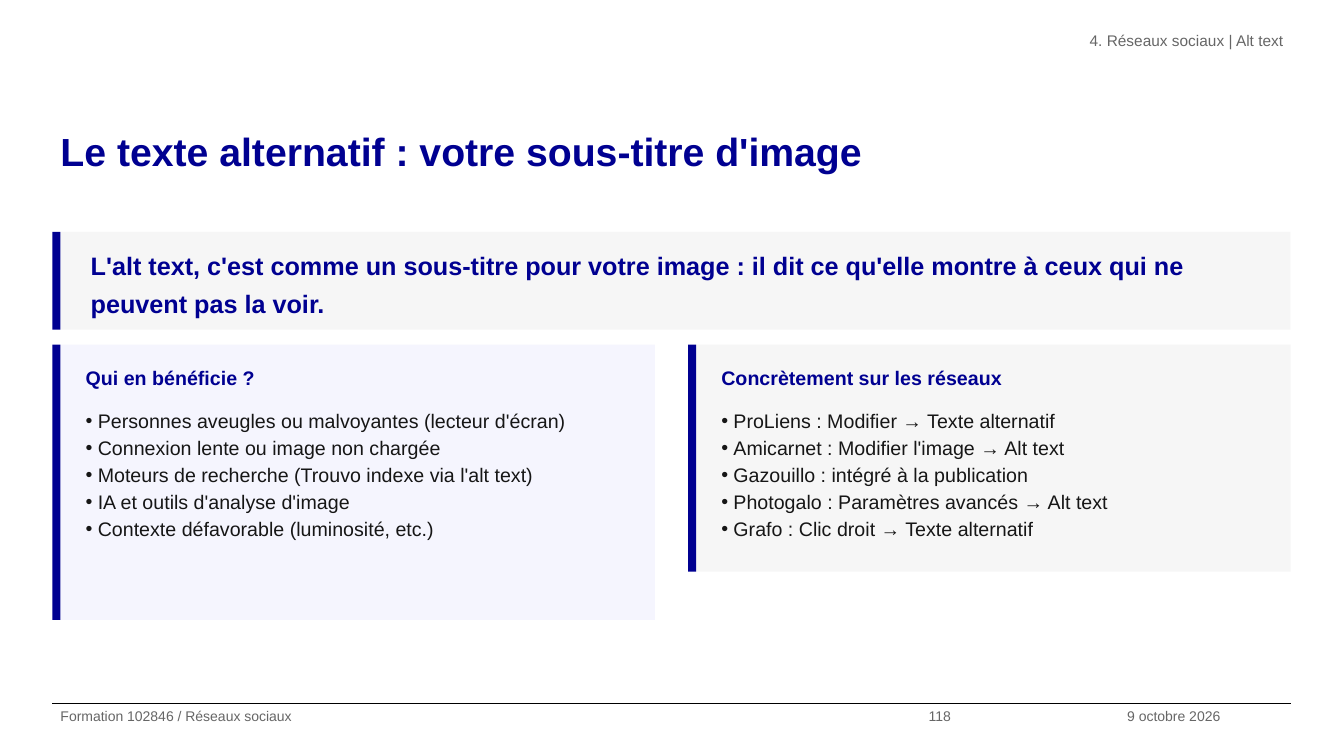
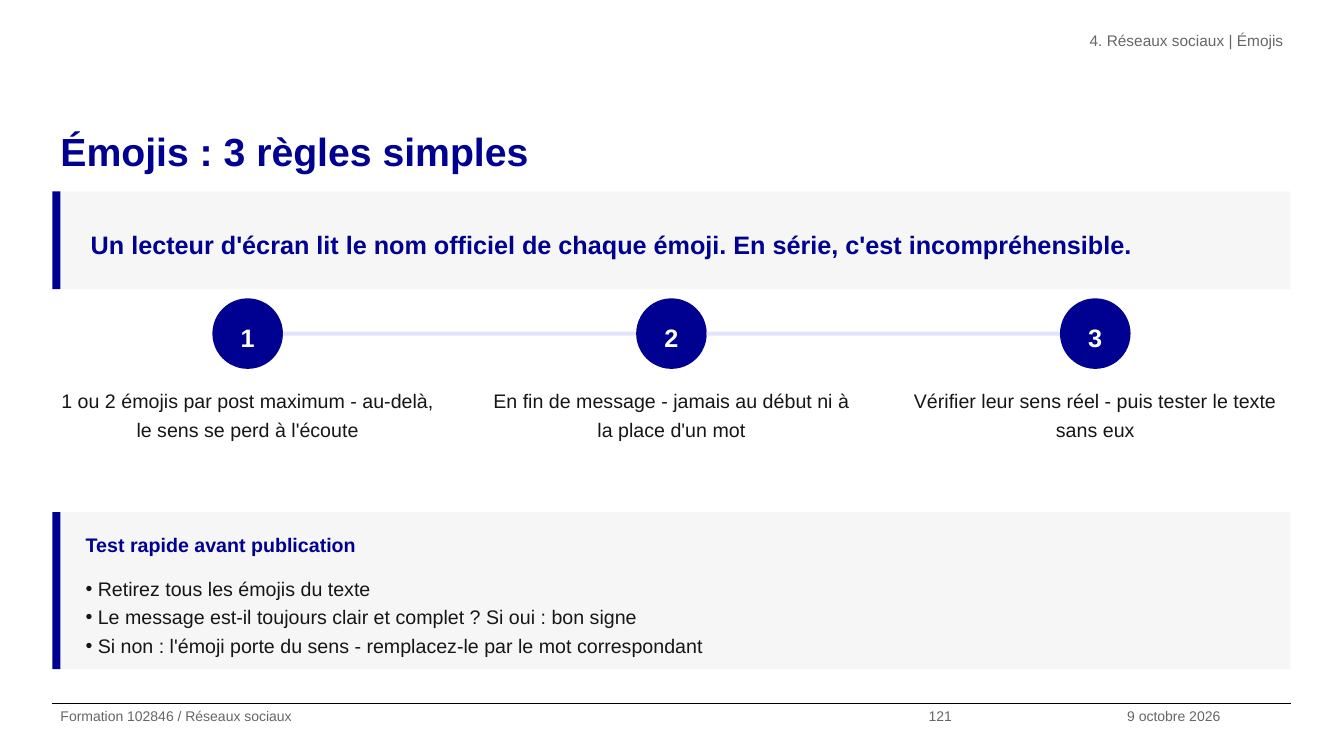
import pptx
import pptx.util
import pptx.dml.color
import pptx.enum.shapes
import pptx.enum.text
import pptx.oxml.ns
import lxml.etree

Inches = pptx.util.Inches
SHAPES = pptx.enum.shapes.MSO_SHAPE
ALIGN = pptx.enum.text.PP_ALIGN
ANCHOR = pptx.enum.text.MSO_ANCHOR

COLOURS = {
    "blue": "000091",
    "pale_blue": "F5F5FE",
    "link_blue": "E3E3FD",
    "pale_grey": "F6F6F6",
    "grey": "666666",
    "ink": "161616",
    "black": "000000",
    "white": "FFFFFF",
}
FONT = "Arial"
LEFT, WIDTH, GAP = 0.52, 12.28, 0.33
BAR = 0.08
BULLET_INDENT = 0.12
FOOTER_TOP = 6.98
COURSE = "Formation 102846 / Réseaux sociaux"
DATE = "9 octobre 2026"


def colour(name):
    return pptx.dml.color.RGBColor.from_string(COLOURS[name])


def columns(count):
    """Return the left edges and the common width of equal columns."""
    width = (WIDTH - GAP * (count - 1)) / count
    return [LEFT + index * (width + GAP) for index in range(count)], width


def add_filled(slide, kind, left, top, width, height, fill):
    shape = slide.shapes.add_shape(
        kind, Inches(left), Inches(top), Inches(width), Inches(height))
    shape.shadow.inherit = False
    shape.fill.solid()
    shape.fill.fore_color.rgb = colour(fill)
    shape.line.fill.background()
    return shape


def add_bullet(paragraph):
    properties = paragraph._p.get_or_add_pPr()
    properties.set("marL", str(Inches(BULLET_INDENT)))
    properties.set("indent", str(-Inches(BULLET_INDENT)))
    for tag, key, value in (("a:buFont", "typeface", FONT), ("a:buChar", "char", "•")):
        element = lxml.etree.SubElement(properties, pptx.oxml.ns.qn(tag))
        element.set(key, value)


def write(shape, lines, size, ink, bold=False, align=ALIGN.LEFT,
          anchor=ANCHOR.TOP, spacing=1.25, inset=0.05, bullets=False):
    """Fill a shape with one paragraph per line, all in one style."""
    frame = shape.text_frame
    frame.word_wrap = True
    frame.vertical_anchor = anchor
    frame.margin_left = frame.margin_right = Inches(0.08)
    frame.margin_top = frame.margin_bottom = Inches(inset)
    for index, line in enumerate(lines):
        paragraph = frame.add_paragraph() if index else frame.paragraphs[0]
        if bullets:
            add_bullet(paragraph)
        paragraph.alignment = align
        paragraph.line_spacing = spacing
        run = paragraph.add_run()
        run.text = line
        run.font.name = FONT
        run.font.size = pptx.util.Pt(size)
        run.font.bold = bold
        run.font.color.rgb = colour(ink)


def add_text(slide, left, top, width, height, lines, size, ink, **style):
    box = slide.shapes.add_textbox(
        Inches(left), Inches(top), Inches(width), Inches(height))
    write(box, lines, size, ink, **style)


def add_footer(slide, page):
    rule = slide.shapes.add_connector(
        pptx.enum.shapes.MSO_CONNECTOR.STRAIGHT, Inches(LEFT), Inches(FOOTER_TOP),
        Inches(LEFT + WIDTH), Inches(FOOTER_TOP))
    rule.line.color.rgb = colour("black")
    rule.line.width = pptx.util.Pt(0.8)
    lxml.etree.SubElement(rule._element.spPr, pptx.oxml.ns.qn("a:effectLst"))
    for left, width, text in ((LEFT, 8.61, COURSE), (9.13, 1.97, str(page)),
                              (11.1, 1.7, DATE)):
        add_text(slide, left, FOOTER_TOP, width, 0.52, [text], 10, "grey", inset=0)


def add_slide(presentation, title, section, page):
    """Add a slide with the shared title, section header and footer."""
    slide = presentation.slides.add_slide(presentation.slide_layouts[6])
    add_text(slide, LEFT, 1.15, WIDTH, 1.05, [title], 28, "blue", bold=True, inset=0)
    add_text(slide, 4.83, 0.26, 7.98, 0.52, ["4. Réseaux sociaux | " + section],
             11, "grey", align=ALIGN.RIGHT, inset=0)
    add_footer(slide, page)
    return slide


def add_barred_box(slide, left, top, width, height, fill):
    add_filled(slide, SHAPES.RECTANGLE, left + BAR, top, width - BAR, height, fill)
    add_filled(slide, SHAPES.RECTANGLE, left, top, BAR, height, "blue")


def add_key_message(slide, top, message):
    height = 0.97
    add_barred_box(slide, LEFT, top, WIDTH, height, "pale_grey")
    add_text(slide, LEFT + 0.3, top + 0.1, WIDTH - 0.4, height - 0.2, [message],
             18, "blue", bold=True, anchor=ANCHOR.MIDDLE)


def add_panel(slide, left, top, width, height, heading, items,
              fill="pale_grey", spacing=1.15):
    """Add a barred box holding a heading and a bulleted list."""
    add_barred_box(slide, left, top, width, height, fill)
    text_left, text_width = left + 0.25, width - 0.35
    add_text(slide, text_left, top + 0.1, text_width, 0.35, [heading],
             14, "blue", bold=True)
    add_text(slide, text_left, top + 0.55, text_width, height - 0.65, items,
             14, "ink", spacing=spacing, bullets=True)


def add_steps(slide, top, steps):
    """Add numbered discs joined by bars, each above its caption."""
    diameter, thickness = 0.7, 0.04
    lefts, width = columns(len(steps))
    for index, (left, caption) in enumerate(zip(lefts, steps)):
        disc_left = left + (width - diameter) / 2
        disc = add_filled(slide, SHAPES.OVAL, disc_left, top, diameter, diameter, "blue")
        write(disc, [str(index + 1)], 18, "white", bold=True,
              align=ALIGN.CENTER, anchor=ANCHOR.MIDDLE)
        add_text(slide, left, top + 0.79, width, 1.25, [caption], 14, "ink",
                 align=ALIGN.CENTER)
        if index < len(steps) - 1:
            add_filled(slide, SHAPES.RECTANGLE, disc_left + diameter,
                       top + (diameter - thickness) / 2,
                       width + GAP - diameter, thickness, "link_blue")


def build_alt_text_slide(presentation):
    slide = add_slide(presentation, "Le texte alternatif : votre sous-titre d'image",
                      "Alt text", 118)
    add_key_message(slide, 2.3, "L'alt text, c'est comme un sous-titre pour votre image : "
                    "il dit ce qu'elle montre à ceux qui ne peuvent pas la voir.")
    (first, second), width = columns(2)
    add_panel(slide, first, 3.42, width, 2.73, "Qui en bénéficie ?", [
        "Personnes aveugles ou malvoyantes (lecteur d'écran)",
        "Connexion lente ou image non chargée",
        "Moteurs de recherche (Trouvo indexe via l'alt text)",
        "IA et outils d'analyse d'image",
        "Contexte défavorable (luminosité, etc.)",
    ], fill="pale_blue")
    add_panel(slide, second, 3.42, width, 2.25, "Concrètement sur les réseaux", [
        "ProLiens : Modifier → Texte alternatif",
        "Amicarnet : Modifier l'image → Alt text",
        "Gazouillo : intégré à la publication",
        "Photogalo : Paramètres avancés → Alt text",
        "Grafo : Clic droit → Texte alternatif",
    ])


def build_emoji_slide(presentation):
    slide = add_slide(presentation, "Émojis : 3 règles simples", "Émojis", 121)
    add_key_message(slide, 1.9, "Un lecteur d'écran lit le nom officiel de chaque émoji. "
                    "En série, c'est incompréhensible.")
    add_steps(slide, 2.96, [
        "1 ou 2 émojis par post maximum - au-delà, le sens se perd à l'écoute",
        "En fin de message - jamais au début ni à la place d'un mot",
        "Vérifier leur sens réel - puis tester le texte sans eux",
    ])
    add_panel(slide, LEFT, 5.08, WIDTH, 1.56, "Test rapide avant publication", [
        "Retirez tous les émojis du texte",
        "Le message est-il toujours clair et complet ? Si oui : bon signe",
        "Si non : l'émoji porte du sens - remplacez-le par le mot correspondant",
    ], spacing=1.2)


def main():
    presentation = pptx.Presentation()
    presentation.slide_width = Inches(13.33)
    presentation.slide_height = Inches(7.5)
    build_alt_text_slide(presentation)
    build_emoji_slide(presentation)
    presentation.save("out.pptx")


if __name__ == "__main__":
    main()
